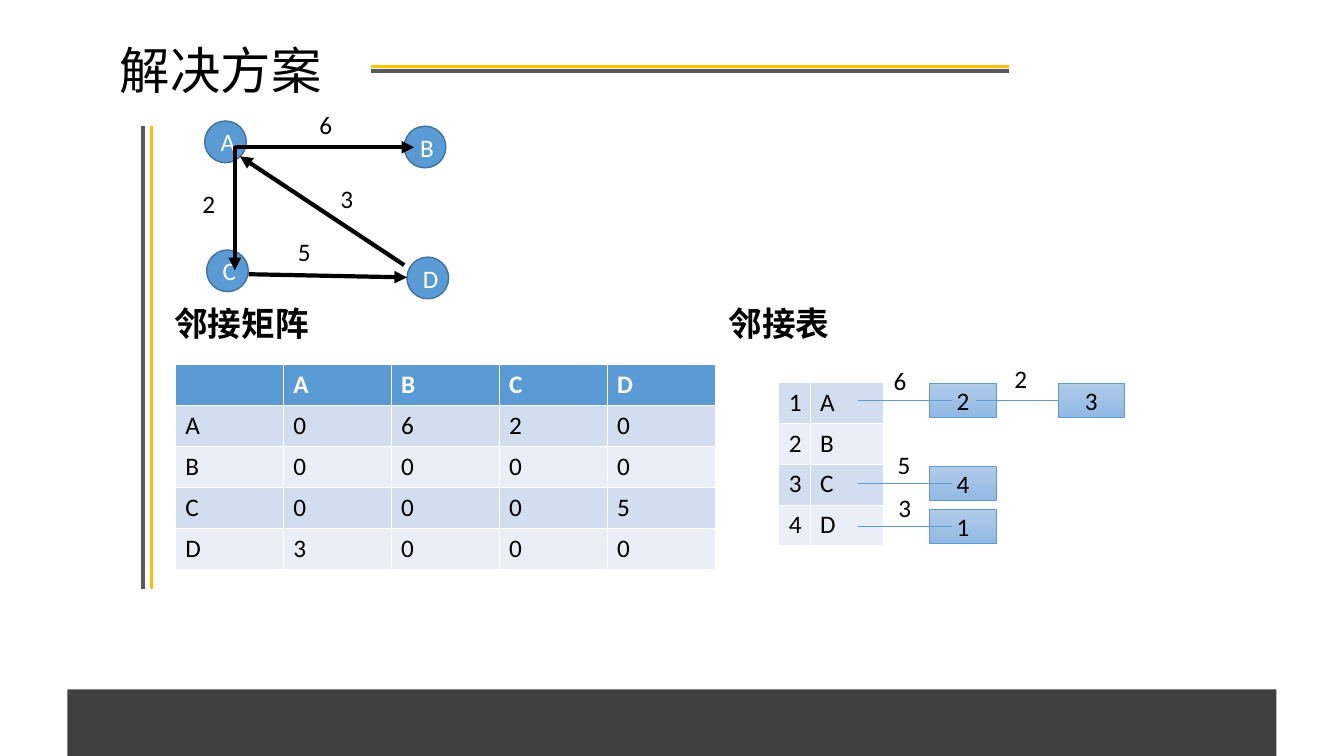
from dataclasses import dataclass

from pptx import Presentation
from pptx.dml.color import RGBColor
from pptx.enum.shapes import MSO_CONNECTOR, MSO_SHAPE
from pptx.enum.text import MSO_ANCHOR, MSO_AUTO_SIZE, PP_ALIGN
from pptx.oxml.ns import qn
from pptx.util import Cm, Pt
from lxml.etree import SubElement, Element

BLACK, WHITE, GOLD, GREY = "000000", "FFFFFF", "FFC000", "595959"
BLUE, BAND, PALE = "5B9BD5", "D2DEEF", "EAEFF7"
LATIN, HAN = "Calibri", "Noto Sans CJK SC"
NODE, BOX_W, BOX_H, ROW = 1.05, 1.68, 0.86, 1.03


@dataclass
class Mark:
    """A short text with its top left corner."""
    text: str
    x: float
    y: float


@dataclass
class Line:
    x1: float
    y1: float
    x2: float
    y2: float
    color: str = BLACK
    width: float = 3
    arrow: bool = False


@dataclass
class Grid:
    x: float
    y: float
    cols: list[float]
    rows: list[str]
    head: bool = False


def rgb(value: str) -> RGBColor:
    return RGBColor.from_string(value)


def write(frame, text: str, size: float = 18, color: str = BLACK,
          bold: bool = False, face: str = LATIN, align=PP_ALIGN.LEFT) -> None:
    para = frame.paragraphs[0]
    para.alignment = align
    run = para.add_run()
    run.text = text
    font = run.font
    font.size, font.bold, font.name = Pt(size), bold, face
    font.color.rgb = rgb(color)
    SubElement(font._element, qn("a:ea"), typeface=HAN)


def draw(line: Line):
    link = slide.shapes.add_connector(
        MSO_CONNECTOR.STRAIGHT, Cm(line.x1), Cm(line.y1), Cm(line.x2), Cm(line.y2))
    link.line.color.rgb = rgb(line.color)
    link.line.width = Pt(line.width)
    if line.arrow:
        SubElement(link.line._get_or_add_ln(), qn("a:tailEnd"), type="triangle")
    SubElement(link._element.spPr, qn("a:effectLst"))
    return link


def shape(kind, x: float, y: float, w: float, h: float):
    item = slide.shapes.add_shape(kind, Cm(x), Cm(y), Cm(w), Cm(h))
    item.shadow.inherit = False
    return item


def node(mark: Mark) -> None:
    item = shape(MSO_SHAPE.OVAL, mark.x, mark.y, NODE, NODE)
    item.fill.solid()
    item.fill.fore_color.rgb = rgb(BLUE)
    item.line.color.rgb = rgb("41719C")
    item.line.width = Pt(1)
    write(item.text_frame, mark.text, color=WHITE, align=PP_ALIGN.CENTER)


def entry(mark: Mark):
    item = shape(MSO_SHAPE.RECTANGLE, mark.x, mark.y, BOX_W, BOX_H)
    item.fill.gradient()
    item.fill.gradient_angle = 270
    for stop, color in zip(item.fill.gradient_stops, ("B1CBE9", "92B9E4")):
        stop.color.rgb = rgb(color)
    item.line.color.rgb = rgb(BLUE)
    item.line.width = Pt(0.5)
    write(item.text_frame, mark.text, align=PP_ALIGN.CENTER)
    return item


def label(mark: Mark) -> None:
    box = slide.shapes.add_textbox(Cm(mark.x), Cm(mark.y), Cm(1.2), Cm(1.02))
    box.text_frame.word_wrap = True
    write(box.text_frame, mark.text)


def edge(cell, sides: dict[str, float]) -> None:
    props = cell._tc.get_or_add_tcPr()
    for spot, (side, width) in enumerate(sides.items()):
        ln = Element(qn(f"a:ln{side}"), w=str(Pt(width)))
        fill = SubElement(ln, qn("a:solidFill"))
        SubElement(fill, qn("a:srgbClr"), val=WHITE)
        props.insert(spot, ln)


def table(grid: Grid) -> None:
    count = len(grid.rows)
    frame = slide.shapes.add_table(
        count, len(grid.cols), Cm(grid.x), Cm(grid.y),
        Cm(sum(grid.cols)), Cm(ROW * count))
    body = frame.table
    body.first_row, body.horz_banding = grid.head, False
    for col, width in zip(body.columns, grid.cols):
        col.width = Cm(width)
    for r, texts in enumerate(grid.rows):
        body.rows[r].height = Cm(ROW)
        top = grid.head and r == 0
        fill = BLUE if top else (BAND, PALE)[(r - grid.head) % 2]
        for c, text in enumerate(texts.split(",")):
            cell = body.cell(r, c)
            cell.fill.solid()
            cell.fill.fore_color.rgb = rgb(fill)
            edge(cell, {"L": 0.45, "R": 0.45,
                        "T": 1.47 if grid.head and r == 1 else 0.45,
                        "B": 1.47 if top else 0.45})
            if text:
                write(cell.text_frame, text, color=WHITE if top else BLACK, bold=top)


def place(holder, x: float, y: float, w: float, h: float, anchor):
    holder.left, holder.top, holder.width, holder.height = Cm(x), Cm(y), Cm(w), Cm(h)
    frame = holder.text_frame
    frame.vertical_anchor = anchor
    frame.auto_size = MSO_AUTO_SIZE.NONE
    frame.word_wrap = True
    frame.paragraphs[0].space_before = Pt(0)
    return frame


deck = Presentation()
deck.slide_width, deck.slide_height = Cm(33.88), Cm(19.05)
slide = deck.slides.add_slide(deck.slide_layouts[4])
holders = {p.placeholder_format.idx: p for p in slide.placeholders}
for idx in (2, 4):
    holders[idx]._element.getparent().remove(holders[idx]._element)

# Rules and footer bar
for rule in (Line(9.35, 1.68, 25.43, 1.68, GOLD, 2.25),
             Line(9.35, 1.78, 25.43, 1.78, GREY),
             Line(3.81, 14.83, 3.81, 3.18, GOLD, 2.25),
             Line(3.61, 14.83, 3.61, 3.18, GREY)):
    draw(rule)
bar = shape(MSO_SHAPE.RECTANGLE, 1.7, 17.37, 30.48, 1.68)
bar.fill.solid()
bar.fill.fore_color.rgb = rgb("404040")
bar.line.fill.background()

# Title and headings
write(place(holders[0], 2.77, 0.86, 8.08, 1.78, MSO_ANCHOR.TOP),
      "解决方案", 36, face=HAN)
for idx, text, x, w in ((1, "邻接矩阵", 4.14, 13.61), (3, "邻接表", 18.11, 13.46)):
    frame = place(holders[idx], x, 7.42, w, 1.38, MSO_ANCHOR.BOTTOM)
    frame.paragraphs[0].line_spacing = 0.9
    write(frame, text, 24, bold=True)

# Directed graph
for mark in (Mark("A", 5.16, 3.05), Mark("B", 10.19, 3.18),
             Mark("C", 5.21, 6.3), Mark("D", 10.26, 6.48)):
    node(mark)
for ends in ((10.19, 6.68, 6.05, 3.94), (5.92, 3.68, 5.92, 6.81),
             (5.92, 3.71, 10.44, 3.71), (6.27, 6.91, 10.26, 6.99)):
    draw(Line(*ends, arrow=True))
for mark in (Mark("6", 7.8, 2.64), Mark("3", 8.33, 4.5),
             Mark("2", 4.85, 4.62), Mark("5", 7.26, 5.84)):
    label(mark)

# Adjacency matrix and vertex list
table(Grid(4.42, 9.19, [2.72] * 5,
           [",A,B,C,D", "A,0,6,2,0", "B,0,0,0,0", "C,0,0,0,5", "D,3,0,0,0"], True))
table(Grid(19.63, 9.63, [0.79, 1.85], ["1,A", "2,B", "3,C", "4,D"]))

# Linked entries
for mark in (Mark("2", 23.44, 9.65), Mark("4", 23.44, 11.76), Mark("1", 23.44, 12.83)):
    entry(mark)
    mid = mark.y + BOX_H / 2
    draw(Line(21.64, mid, 24, mid, BLUE, 0.5))
last = entry(Mark("3", 26.67, 9.65))
draw(Line(24.61, 10.08, 26.67, 10.08, BLUE, 0.5)).end_connect(last, 1)
for mark in (Mark("6", 22.28, 9.07), Mark("2", 25.32, 9.04),
             Mark("5", 22.38, 11.2), Mark("3", 22.4, 12.27)):
    label(mark)

deck.save("out.pptx")
